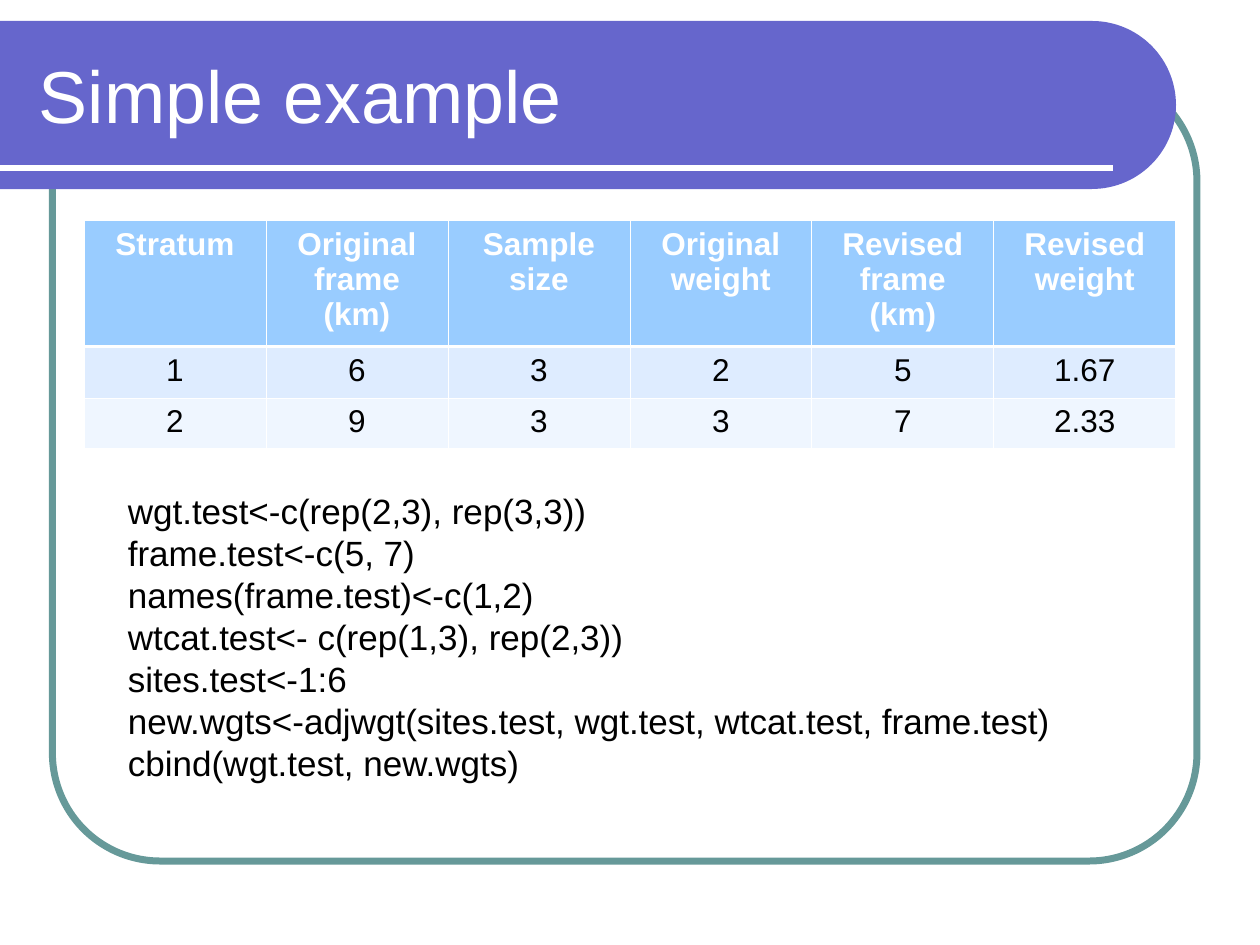
import math

from lxml import etree
from pptx import Presentation
from pptx import util as u
from pptx.dml.color import RGBColor
from pptx.enum import shapes, text
from pptx.oxml.ns import qn

COLORS = {
    "band": "6666CC", "frame": "669999", "white": "FFFFFF", "ink": "000000",
    "header": "99CCFF", "odd": "DEECFF", "even": "EFF6FF",
}
COLUMNS, ROWS = 120, 90
WIDTH, HEIGHT = u.Inches(10), u.Inches(7.5)
UNIT = WIDTH / COLUMNS

TABLE = [
    ["Stratum", "Original frame (km)", "Sample size", "Original weight",
     "Revised frame (km)", "Revised weight"],
    ["1", "6", "3", "2", "5", "1.67"],
    ["2", "9", "3", "3", "7", "2.33"],
]
CODE = [
    "wgt.test<-c(rep(2,3), rep(3,3))",
    "frame.test<-c(5, 7)",
    "names(frame.test)<-c(1,2)",
    "wtcat.test<- c(rep(1,3), rep(2,3))",
    "sites.test<-1:6",
    "new.wgts<-adjwgt(sites.test, wgt.test, wtcat.test, frame.test)",
    "cbind(wgt.test, new.wgts)",
]
TITLE_FONT = {"name": "Arial", "size": u.Pt(42), "bold": False}
HEADER_FONT = {"name": "Arial", "size": u.Pt(18), "bold": True}
BODY_FONT = {"name": "Arial", "size": u.Pt(18), "bold": False}
CODE_FONT = {"name": "Arial", "size": u.Pt(20)}


def grid(*cells):
    """Turn grid units into slide lengths."""
    return [round(cell * UNIT) for cell in cells]


def color(name):
    """Look up a named colour."""
    return RGBColor.from_string(COLORS[name])


def set_all(target, values):
    """Set every attribute in a dict of format values."""
    for name, value in values.items():
        setattr(target, name, value)


def format_paragraph(paragraph, font, ink, alignment):
    """Align a paragraph and style its font."""
    paragraph.alignment = alignment
    set_all(paragraph.font, font)
    paragraph.font.color.rgb = color(ink)


def add_frame(slide, box):
    """Draw the rounded outline behind the content."""
    frame = slide.shapes.add_shape(shapes.MSO_SHAPE.ROUNDED_RECTANGLE, *grid(*box))
    frame.adjustments[0] = 0.137
    frame.shadow.inherit = False
    frame.fill.background()
    frame.line.color.rgb = color("frame")
    frame.line.width = u.Pt(4)


def add_band(slide, box):
    """Draw the title band with its round right end and underline."""
    left, top, width, height = box
    radius = height / 2
    center_x, center_y = left + width - radius, top + radius
    angles = [math.radians(degree) for degree in range(-90, 91, 3)]
    arc = [(center_x + radius * math.cos(angle), center_y + radius * math.sin(angle))
           for angle in angles]
    builder = slide.shapes.build_freeform(*grid(left, top))
    builder.add_line_segments([grid(*point) for point in arc + [(left, top + height)]])
    band = builder.convert_to_shape()
    band.shadow.inherit = False
    band.fill.solid()
    band.fill.fore_color.rgb = color("band")
    band.line.fill.background()

    rule_y = top + height * 7 / 8
    rule = slide.shapes.add_connector(
        shapes.MSO_CONNECTOR.STRAIGHT, *grid(left, rule_y, left + width - 6, rule_y))
    rule.line.color.rgb = color("white")
    rule.line.width = u.Pt(3)
    etree.SubElement(rule.element.spPr, qn("a:effectLst"))


def place_title(slide, box, words):
    """Put the title placeholder in front of the band."""
    title = slide.shapes.title
    title.element.getparent().append(title.element)
    set_all(title, dict(zip(("left", "top", "width", "height"), grid(*box))))
    frame = title.text_frame
    frame.text = words
    set_all(frame, {"vertical_anchor": text.MSO_ANCHOR.MIDDLE, "word_wrap": True,
                    "auto_size": text.MSO_AUTO_SIZE.NONE})
    format_paragraph(frame.paragraphs[0], TITLE_FONT, "white", text.PP_ALIGN.LEFT)


def add_borders(cell, widths):
    """Give a cell white borders, placed ahead of its fill."""
    properties = cell._tc.get_or_add_tcPr()
    for index, (side, width) in enumerate(widths.items()):
        line = etree.Element(qn(f"a:{side}"), w=str(u.Pt(width)))
        fill = etree.SubElement(line, qn("a:solidFill"))
        etree.SubElement(fill, qn("a:srgbClr"), val=COLORS["white"])
        properties.insert(index, line)


def add_weights_table(slide, box, row_heights):
    """Add the table of strata and weights."""
    table = slide.shapes.add_table(len(TABLE), len(TABLE[0]), *grid(*box)).table
    fills = ["header", "odd", "even"]
    for row_index, values in enumerate(TABLE):
        table.rows[row_index].height = grid(row_heights[row_index])[0]
        is_header = row_index == 0
        borders = {"lnL": 0.45, "lnR": 0.45,
                   "lnT": 1.47 if row_index == 1 else 0.45,
                   "lnB": 1.47 if is_header else 0.45}
        for column_index, value in enumerate(values):
            cell = table.cell(row_index, column_index)
            cell.text = value
            cell.fill.solid()
            cell.fill.fore_color.rgb = color(fills[row_index])
            add_borders(cell, borders)
            format_paragraph(cell.text_frame.paragraphs[0],
                             HEADER_FONT if is_header else BODY_FONT,
                             "white" if is_header else "ink", text.PP_ALIGN.CENTER)


def add_code(slide, box):
    """Add the R commands, one to a paragraph."""
    frame = slide.shapes.add_textbox(*grid(*box)).text_frame
    frame.text = "\n".join(CODE)
    set_all(frame, {"word_wrap": True, "auto_size": text.MSO_AUTO_SIZE.SHAPE_TO_FIT_TEXT})
    for paragraph in frame.paragraphs:
        format_paragraph(paragraph, CODE_FONT, "ink", text.PP_ALIGN.LEFT)


def main():
    """Build the slide and save it."""
    presentation = Presentation()
    set_all(presentation, {"slide_width": WIDTH, "slide_height": HEIGHT})
    slide = presentation.slides.add_slide(presentation.slide_layouts.get_by_name("Title Only"))
    add_frame(slide, (5, 7, 109, 75))
    add_band(slide, (0, 2, 112, 16))
    place_title(slide, (2.5, 3, 105.25, 12), "Simple example")
    add_weights_table(slide, (8, 21, 104, 21.7), (12, 4.9, 4.8))
    add_code(slide, (11, 46, 97, 29.25))
    presentation.save("out.pptx")


if __name__ == "__main__":
    main()
